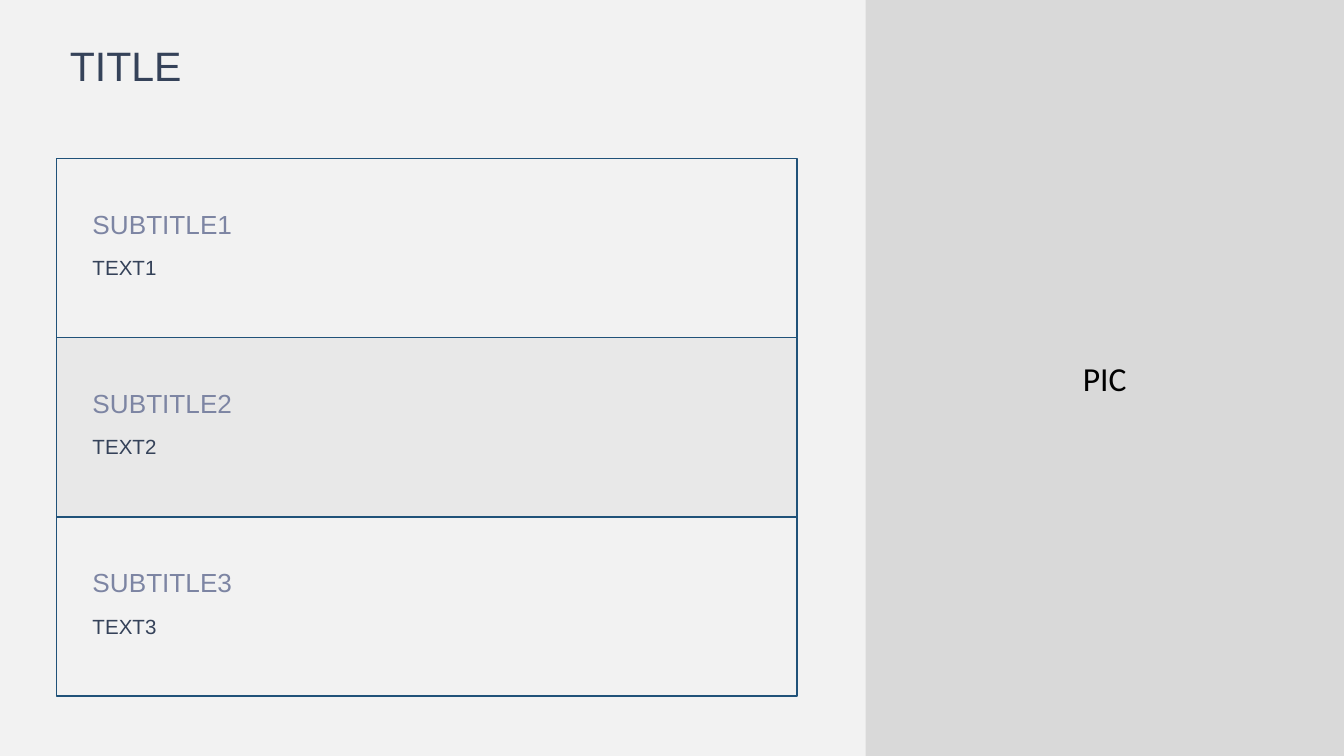
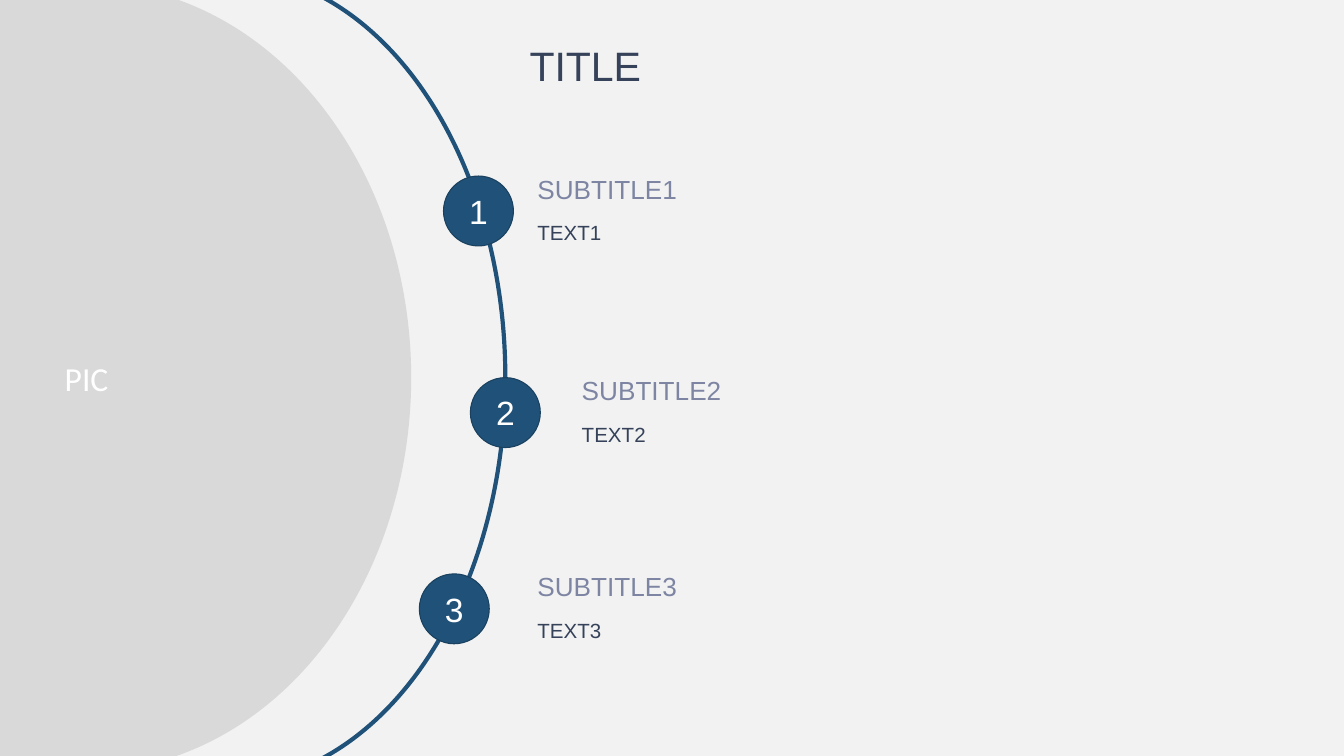
from lxml.etree import SubElement
from pptx import Presentation
from pptx.dml.color import RGBColor
from pptx.enum.shapes import MSO_SHAPE
from pptx.enum.text import MSO_ANCHOR, MSO_AUTO_SIZE, PP_ALIGN
from pptx.oxml.ns import qn
from pptx.util import Inches, Pt

WIDTH = 10
HEIGHT = WIDTH * 9 / 16
PAPER, PANEL, NAVY, NAVY_EDGE = "F2F2F2", "D9D9D9", "205279", "1A4260"
INK, LAVENDER, WHITE, BLACK = "354259", "7D85A3", "FFFFFF", "000000"

TITLE = "TITLE"
PICTURE_LABEL = "PIC"
ITEMS = [("SUBTITLE1", "TEXT1"), ("SUBTITLE2", "TEXT2"), ("SUBTITLE3", "TEXT3")]

CARD_LEFT, CARD_TOP, CARD_WIDTH, CARDS_HEIGHT = 0.42, 1.18, 5.51, 4
CARD_TINTS = [WHITE, BLACK, WHITE]
CARD_PADDING = 0.17
PANEL_LEFT = 6.44

BADGE = 0.52
BADGE_PLACES = [(3.3, 1.31), (3.5, 2.81), (3.12, 4.27)]
ITEM_LEFTS = [3.9, 4.23, 3.9]
ITEM_RIGHT = 9.41
ITEM_RISE = 0.34


def color(value):
    return RGBColor.from_string(value)


def inches(*lengths):
    return [Inches(length) for length in lengths]


def write(shape, text, size, ink, font="Arial", align=PP_ALIGN.LEFT, anchor=MSO_ANCHOR.TOP):
    frame = shape.text_frame
    frame.word_wrap = True
    frame.auto_size = MSO_AUTO_SIZE.NONE
    frame.vertical_anchor = anchor
    para = frame.paragraphs[0]
    para.alignment = align
    span = para.add_run()
    span.text = text
    span.font.size = Pt(size)
    span.font.name = font
    span.font.color.rgb = color(ink)


def add_text(shapes, place, text, size, ink, **style):
    write(shapes.add_textbox(*inches(*place)), text, size, ink, **style)


def add_form(shapes, kind, place, fill=None, line=None, weight=0, opacity=None):
    shape = shapes.add_shape(kind, *inches(*place))
    shape.shadow.inherit = False
    if fill:
        shape.fill.solid()
        shape.fill.fore_color.rgb = color(fill)
    else:
        shape.fill.background()
    if opacity:
        tint = shape.fill._xPr.find(qn("a:solidFill"))[0]
        SubElement(tint, qn("a:alpha")).set("val", str(opacity * 1000))
    if line:
        shape.line.color.rgb = color(line)
        shape.line.width = Pt(weight)
    else:
        shape.line.fill.background()
    return shape


def add_picture_area(page, kind, place, ink):
    area = add_form(page.shapes, kind, place, PANEL)
    write(area, PICTURE_LABEL, 18, ink, "Calibri", PP_ALIGN.CENTER, MSO_ANCHOR.MIDDLE)
    return area


def add_item(page, left, top, width, item):
    subtitle, text = item
    add_text(page.shapes, (left, top, width, 0.6), subtitle, 14, LAVENDER,
             anchor=MSO_ANCHOR.BOTTOM)
    add_text(page.shapes, (left, top + 0.62, width, 0.56), text, 11, INK)


def add_page(deck, left, width, height):
    page = deck.slides.add_slide(deck.slide_layouts[5])
    title = page.shapes.title
    title.left, title.top, title.width, title.height = inches(left, 0.25, width, height)
    write(title, TITLE, 22, INK)
    return page


def add_badge(page, number, left, top):
    shapes = page.shapes.add_group_shape().shapes
    circle = add_form(shapes, MSO_SHAPE.ROUNDED_RECTANGLE, (left, top, BADGE, BADGE),
                      NAVY, NAVY_EDGE, 0.6)
    circle.adjustments[0] = 0.5
    add_text(shapes, (left, top + 0.06, BADGE, 0.4), str(number), 18, WHITE,
             align=PP_ALIGN.CENTER)


def build_cards(deck):
    page = add_page(deck, CARD_LEFT, CARD_WIDTH, 0.93)
    panel = add_picture_area(page, MSO_SHAPE.ROUNDED_RECTANGLE,
                             (PANEL_LEFT, 0, WIDTH - PANEL_LEFT, HEIGHT), BLACK)
    panel.adjustments[0] = 0
    card_height = CARDS_HEIGHT / len(ITEMS)
    tops = [CARD_TOP + row * card_height for row in range(len(ITEMS))]
    for top, tint in zip(tops, CARD_TINTS):
        add_form(page.shapes, MSO_SHAPE.RECTANGLE, (CARD_LEFT, top, CARD_WIDTH, card_height),
                 tint, NAVY, opacity=4)
    for top, item in zip(tops, ITEMS):
        add_item(page, CARD_LEFT + CARD_PADDING, top + 0.05,
                 CARD_WIDTH - 2 * CARD_PADDING, item)


def build_arc(deck):
    page = add_page(deck, 3.84, 5.66, 1)
    add_form(page.shapes, MSO_SHAPE.OVAL, (-0.41, -0.21, 4.17, 6.04), line=NAVY, weight=2.25)
    add_picture_area(page, MSO_SHAPE.OVAL, (-1.77, -0.12, 4.83, 5.86), WHITE)
    for number, (left, top) in enumerate(BADGE_PLACES, 1):
        add_badge(page, number, left, top)
    for (_, top), left, item in zip(BADGE_PLACES, ITEM_LEFTS, ITEMS):
        add_item(page, left, top - ITEM_RISE, ITEM_RIGHT - left, item)


def main():
    deck = Presentation()
    deck.slide_width, deck.slide_height = inches(WIDTH, HEIGHT)
    backdrop = deck.slide_master.background.fill
    backdrop.solid()
    backdrop.fore_color.rgb = color(PAPER)
    build_cards(deck)
    build_arc(deck)
    deck.save("out.pptx")


if __name__ == "__main__":
    main()
